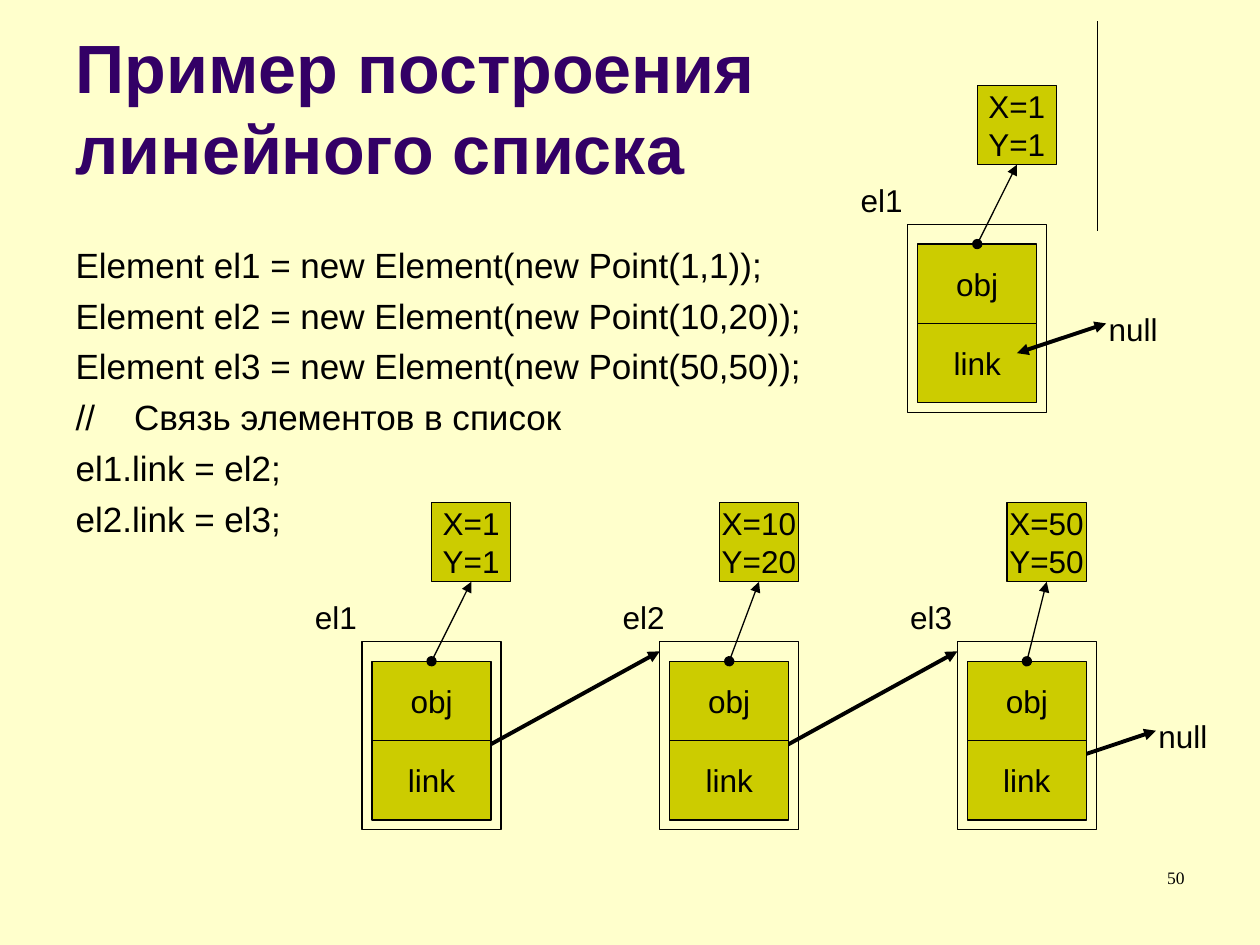
"""Build a slide that shows how a linear list is made of linked elements."""
from dataclasses import dataclass

from pptx import Presentation, util as u
from pptx.dml.color import RGBColor
from pptx.enum import shapes as sh, text as tx
from pptx.oxml import ns
from lxml import etree

BLACK = RGBColor(0x00, 0x00, 0x00)
CREAM = RGBColor(0xFF, 0xFF, 0xCC)
OLIVE = RGBColor(0xCC, 0xCC, 0x00)
PURPLE = RGBColor(0x33, 0x00, 0x66)

CELL_W, CELL_H = 2.4, 1.6
PAD_X, PAD_Y = 0.2, 0.4
FRAME_W, FRAME_H = 2.8, 3.8
BOX_UP = 2.8
CODE = """Element el1 = new Element(new Point(1,1));
Element el2 = new Element(new Point(10,20));
Element el3 = new Element(new Point(50,50));
//\tСвязь элементов в список
el1.link = el2;
el2.link = el3;"""


@dataclass
class Node:
    name: str
    point: str
    x: float
    y: float
    box_dx: float
    tag_dx: float = -1.2


TOP = Node("el1", "X=1\nY=1", 18.3, 4.52, 1.4)
ROW_Y, STEP = 12.93, 6
ROW = [
    Node("el1", "X=1\nY=1", 7.3, ROW_Y, 1.4),
    Node("el2", "X=10\nY=20", 7.3 + STEP, ROW_Y, 1.2, -1),
    Node("el3", "X=50\nY=50", 7.3 + 2 * STEP, ROW_Y, 1),
]


def cm(*vals: float) -> list:
    return [u.Cm(v) for v in vals]


def write(shape, text: str, size: float = 18, font: str = "Arial",
          color: RGBColor = BLACK, bold: bool = False, align=tx.PP_ALIGN.LEFT,
          anchor=tx.MSO_ANCHOR.TOP, wrap: bool = True, gap: float = 0,
          hang: float = 0, fit=tx.MSO_AUTO_SIZE.NONE) -> None:
    frame = shape.text_frame
    frame.word_wrap, frame.auto_size = wrap, fit
    frame.vertical_anchor = anchor
    for i, line in enumerate(text.split("\n")):
        par = frame.add_paragraph() if i else frame.paragraphs[0]
        par.alignment = align
        par.space_before = u.Pt(gap if i else 0)
        if hang:
            props = par._p.get_or_add_pPr()
            props.set("marL", str(u.Cm(hang)))
            props.set("indent", str(-u.Cm(hang)))
            etree.SubElement(props, ns.qn("a:buNone"))
        run = par.add_run()
        run.text = line
        run.font.size, run.font.name = u.Pt(size), font
        run.font.bold, run.font.color.rgb = bold, color


def rect(home, x: float, y: float, w: float, h: float, text: str = "") -> None:
    shape = home.add_shape(sh.MSO_SHAPE.RECTANGLE, *cm(x, y, w, h))
    shape.shadow.inherit = False
    shape.line.color.rgb, shape.line.width = BLACK, u.Pt(0.75)
    if text:
        shape.fill.solid()
        shape.fill.fore_color.rgb = OLIVE
        write(shape, text, align=tx.PP_ALIGN.CENTER,
              anchor=tx.MSO_ANCHOR.MIDDLE, wrap=False)
    else:
        shape.fill.background()


def line(home, x1: float, y1: float, x2: float, y2: float,
         width: float = 0.75, head: str = "oval", tail: str = "triangle") -> None:
    link = home.add_connector(sh.MSO_CONNECTOR.STRAIGHT, *cm(x1, y1, x2, y2))
    link.line.color.rgb, link.line.width = BLACK, u.Pt(width)
    stroke = link.line._get_or_add_ln()
    for tag, kind in (("a:headEnd", head), ("a:tailEnd", tail)):
        etree.SubElement(stroke, ns.qn(tag)).set("type", kind)
    etree.SubElement(link.element.spPr, ns.qn("a:effectLst"))


def label(home, text: str, x: float, y: float) -> None:
    box = home.add_textbox(*cm(x, y, 1.6, 1.02))
    write(box, text, fit=tx.MSO_AUTO_SIZE.SHAPE_TO_FIT_TEXT)


def null(home, x: float, y: float, head: str) -> None:
    line(home, x, y, x + 1.8, y - 0.6, 2.25, head)
    label(home, "null", x + 1.6, y - 1)


def draw(home, node: Node):
    group = home.add_group_shape().shapes
    x, y = node.x + PAD_X, node.y + PAD_Y
    for i, text in enumerate(("obj", "link")):
        rect(group, x, y + i * CELL_H, CELL_W, CELL_H, text)
    left, top = node.x + node.box_dx, node.y - BOX_UP
    rect(group, left, top, CELL_H, CELL_H, node.point)
    line(group, x + CELL_W / 2, y, left + CELL_H / 2, top + CELL_H)
    rect(group, node.x, node.y, FRAME_W, FRAME_H)
    label(group, node.name, node.x + node.tag_dx, node.y - 1)
    return group


def place(shape, x: float, y: float, w: float, h: float) -> None:
    shape.left, shape.top, shape.width, shape.height = cm(x, y, w, h)


def main() -> None:
    deck = Presentation()
    deck.slide_width, deck.slide_height = cm(25.4, 19.05)
    slide = deck.slides.add_slide(deck.slide_layouts[1])
    slide.background.fill.solid()
    slide.background.fill.fore_color.rgb = CREAM
    home = slide.shapes
    title, body = slide.placeholders
    place(title, 1.27, 0.33, 20.95, 3.6)
    write(title, "Пример построения линейного списка", size=39, color=PURPLE,
          bold=True, anchor=tx.MSO_ANCHOR.BOTTOM)
    place(body, 1.27, 4.78, 22.86, 12.24)
    write(body, CODE, size=20, gap=5, hang=1.18)
    line(home, 22.12, 0.43, 22.12, 4.65, head="none", tail="none")

    for node, after in zip(ROW, ROW[1:]):
        line(home, node.x + 2, node.y + 2.4, after.x, after.y + 0.2, 2.25)
    null(home, ROW[-1].x + 2.2, ROW_Y + 2.4, "oval")
    for node in ROW:
        draw(home, node)
    null(draw(home, TOP), TOP.x + 2.2, TOP.y + 2.6, "triangle")

    page = home.add_textbox(*cm(18.21, 17.35, 5.92, 1.27))
    write(page, "50", size=10, font="Times New Roman", align=tx.PP_ALIGN.RIGHT)
    deck.save("out.pptx")


if __name__ == "__main__":
    main()
